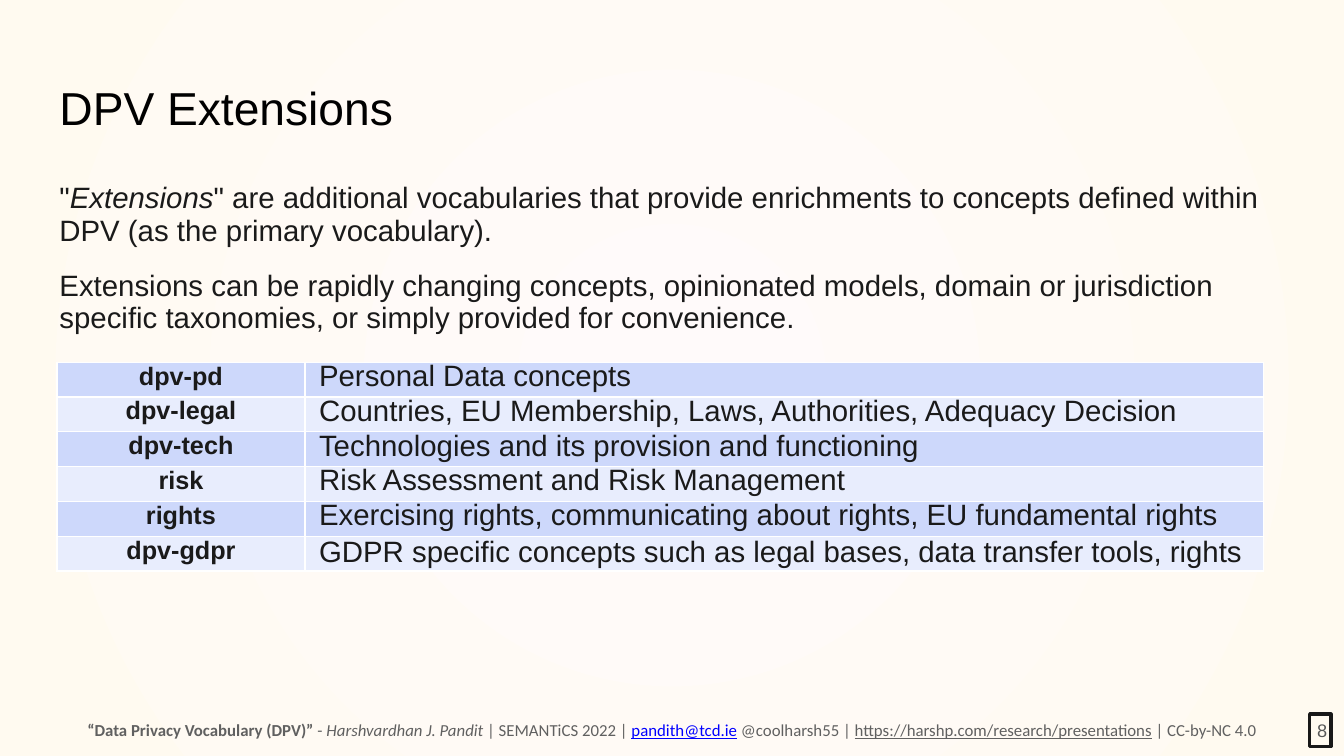
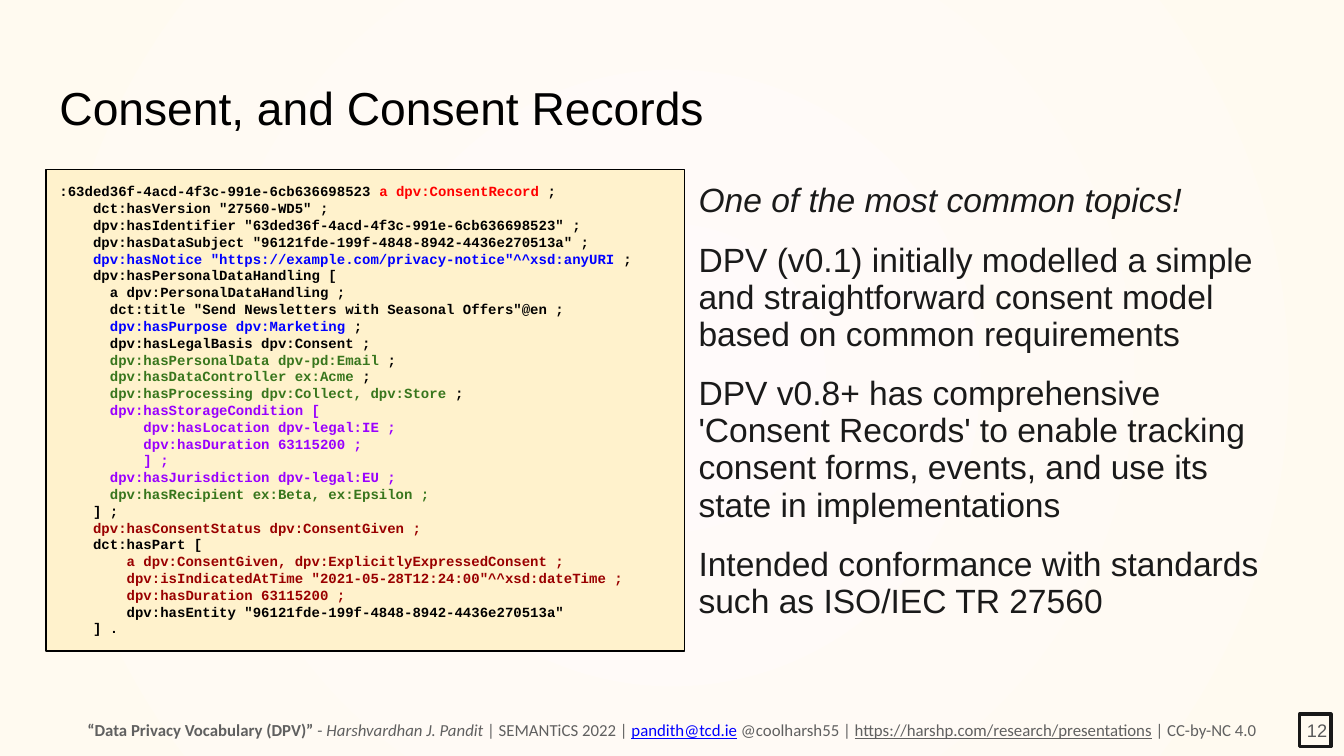
from dataclasses import dataclass
from typing import NamedTuple, Optional, Sequence

from pptx import Presentation
from pptx.dml.color import RGBColor
from pptx.enum.shapes import MSO_SHAPE
from pptx.enum.text import MSO_ANCHOR, MSO_AUTO_SIZE, PP_ALIGN
from pptx.oxml import parse_xml
from pptx.oxml.ns import nsdecls, qn
from pptx.util import Inches, Pt

SLIDE_WIDTH, SLIDE_HEIGHT = Inches(26.67), Inches(15)
BLACK, INK, GREY, LINK = "000000", "1A1A1A", "606060", "0000FF"
RED, GREEN, PURPLE, MAROON = "FF0000", "38761D", "9900FF", "990000"
BACKGROUND = ("FFFAFA", "FFFAF0")
BANDS = ("CDD8FB", "E8EDFD")
SANS, FOOTER_FONT, MONO = "Arial", "Calibri", "Courier New"
TIGHT = 0.92
PARAGRAPH_GAP = 32
INSET = 0.27


class Area(NamedTuple):
    """A rectangle in percent of the slide's width and height."""

    left: float
    top: float
    width: float
    height: float

    def place(self) -> tuple[int, int, int, int]:
        """Return the rectangle as lengths on the slide."""
        return across(self.left), down(self.top), across(self.width), down(self.height)


@dataclass(frozen=True)
class Span:
    """A run of text and what sets it apart from its paragraph."""

    text: str
    colour: Optional[str] = None
    bold: Optional[bool] = None
    italic: bool = False
    underline: bool = False


class Extension(NamedTuple):
    """One row of the table of extensions."""

    prefix: str
    scope: str
    spacing: float = TIGHT


Lines = Sequence[Sequence[Span]]

TITLE = Area(3.41, 8.67, 93.18, 11.13)
BODY = Area(3.41, 22.4, 93.18, 66.4)
CODE_PANEL = Area(3.41, 22.4, 47.54, 63.73)
TOPICS = Area(50.96, 22.4, 45.63, 66.4)
TABLE = Area(4.24, 47.93, 89.8, 27.6)
PREFIX_WIDTH = 18.45
FOOTER = Area(4.5, 94.93, 90.96, 3.33)
NUMBER_RIGHT, NUMBER_TOP, NUMBER_HEIGHT = 99.02, 94.47, 4.27
NUMBER_PADDING, DIGIT_WIDTH = 0.82, 0.75

FOOTER_LINE = (
    Span("“Data Privacy Vocabulary (DPV)” ", bold=True),
    Span("- "),
    Span("Harshvardhan J. Pandit ", italic=True),
    Span("| SEMANTiCS 2022 | "),
    Span("pandith@tcd.ie", LINK, underline=True),
    Span(" @coolharsh55 | "),
    Span("https://harshp.com/research/presentations", underline=True),
    Span(" | CC-by-NC 4.0"),
)

INTRODUCTION = (
    (
        Span('"'),
        Span("Extensions", italic=True),
        Span('" are additional vocabularies that provide enrichments to concepts '
             "defined within DPV (as the primary vocabulary)."),
    ),
    (Span("Extensions can be rapidly changing concepts, opinionated models, domain or "
          "jurisdiction specific taxonomies, or simply provided for convenience."),),
)

EXTENSIONS = (
    Extension("dpv-pd", "Personal Data concepts"),
    Extension("dpv-legal", "Countries, EU Membership, Laws, Authorities, Adequacy Decision"),
    Extension("dpv-tech", "Technologies and its provision and functioning"),
    Extension("risk", "Risk Assessment and Risk Management"),
    Extension("rights", "Exercising rights, communicating about rights, EU fundamental rights"),
    Extension("dpv-gdpr", "GDPR specific concepts such as legal bases, data transfer tools, rights", 1),
)

CONSENT_TOPICS = (
    (Span("One of the most common topics!", italic=True),),
    (Span("DPV (v0.1) initially modelled a simple and straightforward consent model "
          "based on common requirements"),),
    (Span("DPV v0.8+ has comprehensive 'Consent Records' to enable tracking consent "
          "forms, events, and use its state in implementations"),),
    (Span("Intended conformance with standards such as ISO/IEC TR 27560"),),
)

END = Span(" ;")
CONSENT_RECORD = (
    (Span(":63ded36f-4acd-4f3c-991e-6cb636698523 "), Span("a dpv:ConsentRecord", RED), END),
    (Span('    dct:hasVersion "27560-WD5" ;'),),
    (Span('    dpv:hasIdentifier "63ded36f-4acd-4f3c-991e-6cb636698523" ;'),),
    (Span('    dpv:hasDataSubject "96121fde-199f-4848-8942-4436e270513a" ;'),),
    (Span('    dpv:hasNotice "https://example.com/privacy-notice"^^xsd:anyURI', LINK), END),
    (Span("    dpv:hasPersonalDataHandling ["),),
    (Span("      a dpv:PersonalDataHandling ;"),),
    (Span('      dct:title "Send Newsletters with Seasonal Offers"@en ;'),),
    (Span("      dpv:hasPurpose dpv:Marketing", LINK), END),
    (Span("      dpv:hasLegalBasis dpv:Consent ;"),),
    (Span("      dpv:hasPersonalData dpv-pd:Email", GREEN), END),
    (Span("      dpv:hasDataController ex:Acme", GREEN), END),
    (Span("      dpv:hasProcessing dpv:Collect, dpv:Store", GREEN), END),
    (Span("      dpv:hasStorageCondition [", PURPLE),),
    (Span("          dpv:hasLocation dpv-legal:IE ;", PURPLE),),
    (Span("          dpv:hasDuration 63115200 ;", PURPLE),),
    (Span("          ] ;", PURPLE),),
    (Span("      dpv:hasJurisdiction dpv-legal:EU ;", PURPLE),),
    (Span("      dpv:hasRecipient ex:Beta, ex:Epsilon ;", GREEN),),
    (Span("    ] ;"),),
    (Span("    dpv:hasConsentStatus dpv:ConsentGiven ;", MAROON),),
    (Span("    dct:hasPart ["),),
    (Span("        a dpv:ConsentGiven, dpv:ExplicitlyExpressedConsent ;", MAROON),),
    (Span('        dpv:isIndicatedAtTime "2021-05-28T12:24:00"^^xsd:dateTime ;', MAROON),),
    (Span("        dpv:hasDuration 63115200 ;", MAROON),),
    (Span('        dpv:hasEntity "96121fde-199f-4848-8942-4436e270513a"'),),
    (Span("    ] ."),),
)


def across(share: float) -> int:
    """Turn a percentage of the slide's width into a length."""
    return round(SLIDE_WIDTH * share / 100)


def down(share: float) -> int:
    """Turn a percentage of the slide's height into a length."""
    return round(SLIDE_HEIGHT * share / 100)


def rgb(colour: str) -> RGBColor:
    """Turn a hex string into a colour."""
    return RGBColor.from_string(colour)


def write(frame, lines: Lines, *, size: float, font: str = SANS, colour: str = INK,
          bold: bool = False, align=PP_ALIGN.LEFT, spacing: float = 1, gap: float = 0,
          indent: float = 0) -> None:
    """Fill a text frame with paragraphs of formatted spans."""
    for index, line in enumerate(lines):
        para = frame.paragraphs[0] if index == 0 else frame.add_paragraph()
        para.alignment = align
        para.line_spacing = spacing
        para.space_before = Pt(gap if index else 0)
        if indent:
            para._p.get_or_add_pPr().set("indent", str(Inches(indent)))
        for span in line:
            run = para.add_run()
            run.text = span.text
            run.font.name = font
            run.font.size = Pt(size)
            run.font.bold = bold if span.bold is None else span.bold
            run.font.italic = span.italic
            run.font.underline = span.underline
            run.font.color.rgb = rgb(span.colour or colour)


def set_frame(frame, *, inset: float = INSET, anchor=MSO_ANCHOR.TOP, wrap: bool = True) -> None:
    """Set the margins, anchor and wrapping of a text frame."""
    frame.margin_left = frame.margin_right = Inches(inset)
    frame.margin_top = frame.margin_bottom = Inches(inset)
    frame.vertical_anchor = anchor
    frame.auto_size = MSO_AUTO_SIZE.NONE
    frame.word_wrap = wrap


def add_text(page, area: Area, lines: Lines, *, inset: float = INSET,
             anchor=MSO_ANCHOR.TOP, wrap: bool = True, **style) -> None:
    """Add a text box."""
    frame = page.shapes.add_textbox(*area.place()).text_frame
    set_frame(frame, inset=inset, anchor=anchor, wrap=wrap)
    write(frame, lines, **style)


def add_panel(page, area: Area, lines: Lines, *, line: str, line_width: float,
              fill: Optional[str] = None, inset: float = INSET,
              anchor=MSO_ANCHOR.TOP, wrap: bool = True, **style) -> None:
    """Add an outlined rectangle with text."""
    box = page.shapes.add_shape(MSO_SHAPE.RECTANGLE, *area.place())
    box.shadow.inherit = False
    if fill:
        box.fill.solid()
        box.fill.fore_color.rgb = rgb(fill)
    else:
        box.fill.background()
    box.line.color.rgb = rgb(line)
    box.line.width = Pt(line_width)
    set_frame(box.text_frame, inset=inset, anchor=anchor, wrap=wrap)
    write(box.text_frame, lines, **style)


def format_cell(cell, fill: str) -> None:
    """Give a table cell a fill, white borders and no margins."""
    properties = cell._tc.get_or_add_tcPr()
    for side in ("lnL", "lnR", "lnT", "lnB"):
        properties.append(parse_xml(
            f'<a:{side} {nsdecls("a")} w="{Pt(2)}"><a:solidFill>'
            f'<a:srgbClr val="FFFFFF"/></a:solidFill></a:{side}>'))
    cell.fill.solid()
    cell.fill.fore_color.rgb = rgb(fill)
    cell.margin_left = cell.margin_right = cell.margin_top = cell.margin_bottom = 0
    cell.vertical_anchor = MSO_ANCHOR.TOP


def add_extension_table(page) -> None:
    """Add the banded table of extensions."""
    table = page.shapes.add_table(len(EXTENSIONS), 2, *TABLE.place()).table
    table.first_row = table.horz_banding = False
    table.columns[0].width = across(PREFIX_WIDTH)
    table.columns[1].width = across(TABLE.width - PREFIX_WIDTH)
    for index, extension in enumerate(EXTENSIONS):
        table.rows[index].height = down(TABLE.height / len(EXTENSIONS))
        prefix, scope = table.cell(index, 0), table.cell(index, 1)
        for cell in (prefix, scope):
            format_cell(cell, BANDS[index % 2])
        write(prefix.text_frame, [[Span(extension.prefix)]], size=36, bold=True,
              align=PP_ALIGN.CENTER)
        write(scope.text_frame, [[Span(extension.scope)]], size=42,
              spacing=extension.spacing, indent=0.28)


def set_background(master) -> None:
    """Give the master a circular gradient from the centre outwards."""
    fill = master.background.fill
    fill.gradient()
    for stop, colour in zip(fill.gradient_stops, BACKGROUND):
        stop.color.rgb = rgb(colour)
    linear = next(master.element.iter(qn("a:lin")))
    linear.getparent().replace(linear, parse_xml(
        f'<a:path {nsdecls("a")} path="circle">'
        '<a:fillToRect l="50000" t="50000" r="50000" b="50000"/></a:path>'))


def add_page(deck, title: str, number: int):
    """Add a slide with its title, footer and number."""
    page = deck.slides.add_slide(deck.slide_layouts[5])
    heading = page.shapes.title
    heading.left, heading.top, heading.width, heading.height = TITLE.place()
    set_frame(heading.text_frame)
    write(heading.text_frame, [[Span(title)]], size=66, colour=BLACK)
    add_text(page, FOOTER, [FOOTER_LINE], inset=0.06, anchor=MSO_ANCHOR.MIDDLE, wrap=False,
             size=24, font=FOOTER_FONT, colour=GREY, align=PP_ALIGN.CENTER)
    width = NUMBER_PADDING + DIGIT_WIDTH * len(str(number))
    add_panel(page, Area(NUMBER_RIGHT - width, NUMBER_TOP, width, NUMBER_HEIGHT),
              [[Span(str(number))]], line="181818", line_width=5, inset=0.07,
              anchor=MSO_ANCHOR.MIDDLE, wrap=False, size=26, colour="585858",
              align=PP_ALIGN.RIGHT)
    return page


def main() -> None:
    """Build the deck and save it."""
    deck = Presentation()
    deck.slide_width, deck.slide_height = SLIDE_WIDTH, SLIDE_HEIGHT
    set_background(deck.slide_master)

    page = add_page(deck, "DPV Extensions", 8)
    add_text(page, BODY, INTRODUCTION, size=42, spacing=TIGHT, gap=PARAGRAPH_GAP)
    add_extension_table(page)

    page = add_page(deck, "Consent, and Consent Records", 12)
    add_text(page, TOPICS, CONSENT_TOPICS, size=48, spacing=TIGHT, gap=PARAGRAPH_GAP)
    add_panel(page, CODE_PANEL, CONSENT_RECORD, fill="FFF2CC", line=BLACK, line_width=2,
              size=20, font=MONO, colour=BLACK, bold=True)
    deck.save("out.pptx")


if __name__ == "__main__":
    main()
